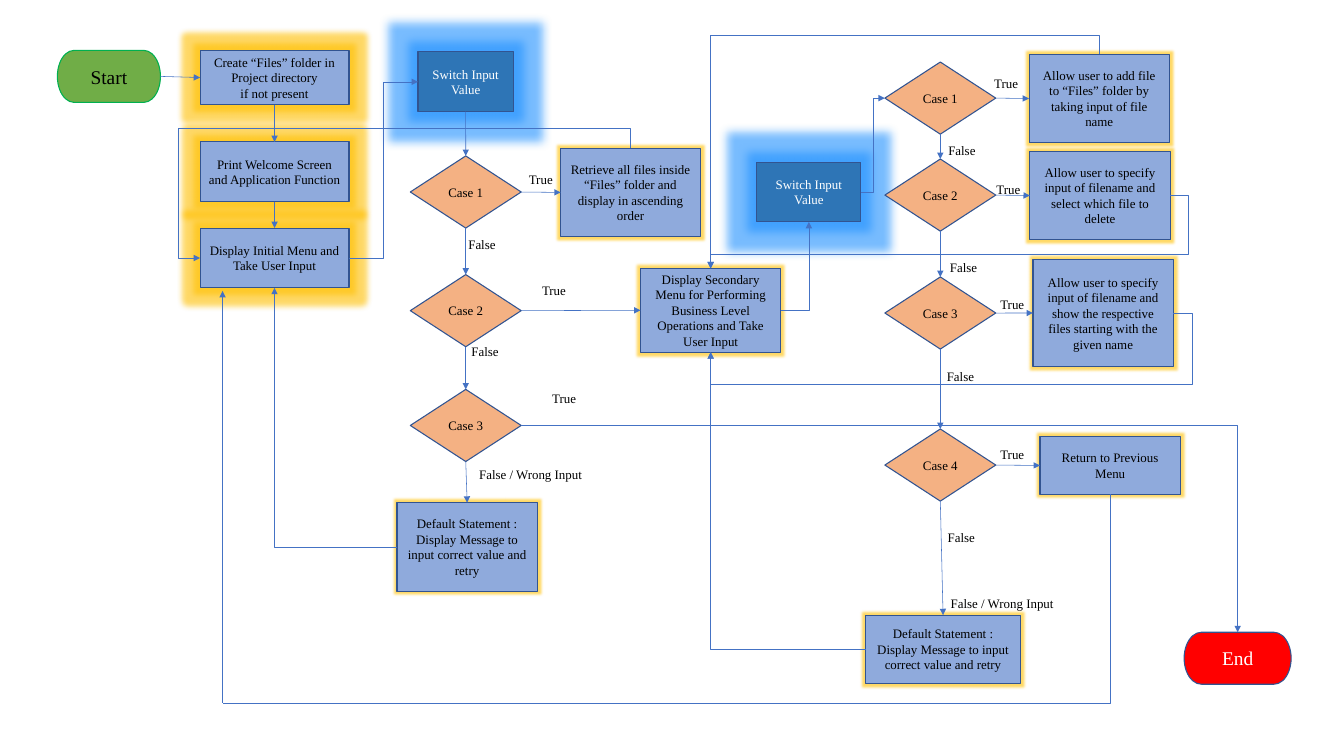
import pptx
import pptx.util
import pptx.dml.color
import pptx.enum.shapes
import pptx.enum.text
import pptx.oxml.ns
import lxml.etree

qn = pptx.oxml.ns.qn
sub = lxml.etree.SubElement
Pt = pptx.util.Pt
RGB = pptx.dml.color.RGBColor.from_string
FORMS = pptx.enum.shapes.MSO_SHAPE
LINKS = pptx.enum.shapes.MSO_CONNECTOR
CENTER = pptx.enum.text.PP_ALIGN.CENTER
MIDDLE = pptx.enum.text.MSO_ANCHOR.MIDDLE

FONT = "Times New Roman"
COLORS = {
    "step": "8FAADC", "switch": "2E75B6", "case": "F4B183",
    "start": "70AD47", "end": "FF0000", "outline": "325491",
    "start_outline": "00B050", "link": "4472C4",
    "dark": "000000", "light": "FFFFFF",
    "gold_glow": "FFC000", "blue_glow": "1E90FF",
}
TOP, LEFT, BOTTOM, RIGHT = range(4)

deck = pptx.Presentation()
deck.slide_width = pptx.util.Inches(17.33)
deck.slide_height = pptx.util.Inches(9.5)
slide = deck.slides.add_slide(deck.slide_layouts[6])
column = deck.slide_width / 100
row = deck.slide_height / 100

KINDS = {
    "setup": (FORMS.RECTANGLE, "step", "outline", "dark", 12, ("gold_glow", 11)),
    "step": (FORMS.FLOWCHART_PROCESS, "step", "outline", "dark", 12, ("gold_glow", 5)),
    "switch": (FORMS.RECTANGLE, "switch", "outline", "light", 12, ("blue_glow", 18)),
    "case": (FORMS.FLOWCHART_DECISION, "case", "outline", "dark", 12, None),
    "start": (FORMS.FLOWCHART_TERMINATOR, "start", "start_outline", "dark", 18, None),
    "end": (FORMS.FLOWCHART_TERMINATOR, "end", "outline", "light", 18, None),
}
SWITCH = "Switch Input\nValue"
DEFAULT = "Default Statement : Display Message to input correct value and retry"
NODES = [
    ("start", "start", 4.27, 6.84, 7.67, 7.05, "Start"),
    ("create", "setup", 14.89, 6.84, 11.08, 7.37,
     "Create “Files” folder in Project directory\nif not present"),
    ("welcome", "setup", 14.89, 19.26, 11.08, 8.11,
     "Print Welcome Screen and Application Function"),
    ("menu", "setup", 14.89, 30.95, 11.08, 8.11,
     "Display Initial Menu and Take User Input"),
    ("main switch", "switch", 31.1, 7.05, 7.1, 8.11, SWITCH),
    ("retrieve", "step", 41.72, 20.11, 10.39, 12,
     "Retrieve all files inside “Files” folder and display in ascending order"),
    ("main default", "step", 29.54, 68.21, 10.44, 12, DEFAULT),
    ("secondary", "step", 47.66, 36.42, 10.44, 11.37,
     "Display Secondary Menu for Performing Business Level Operations and Take User Input"),
    ("file switch", "switch", 56.32, 22, 7.73, 8.11, SWITCH),
    ("add", "step", 76.57, 7.37, 10.44, 12,
     "Allow user to add file to “Files” folder by taking input of file name"),
    ("delete", "step", 76.63, 20.53, 10.44, 12,
     "Allow user to specify input of filename and select which file to delete"),
    ("show", "step", 76.86, 35.26, 10.44, 14.42,
     "Allow user to specify input of filename and show the respective files "
     "starting with the given name"),
    ("return", "step", 77.38, 59.26, 10.44, 7.79, "Return to Previous Menu"),
    ("file default", "step", 64.4, 83.47, 11.54, 9.26, DEFAULT),
    ("end", "end", 88.11, 85.79, 7.96, 7.05, "End"),
]
for menu, x, tops in [("main", 30.53, (21.16, 37.26, 52.84)),
                      ("file", 65.84, (8.42, 21.58, 37.58, 58.21))]:
    for number, y in enumerate(tops, 1):
        NODES.append((f"{menu} {number}", "case", x, y, 8.25, 9.79, f"Case {number}"))

nodes = {}
for name, kind, x, y, w, h, wording in NODES:
    form, fill, outline, ink, size, glow = KINDS[kind]
    node = slide.shapes.add_shape(form, int(x * column), int(y * row),
                                  int(w * column), int(h * row))
    node.fill.solid()
    node.fill.fore_color.rgb = RGB(COLORS[fill])
    node.line.color.rgb = RGB(COLORS[outline])
    node.line.width = Pt(1)
    node.shadow.inherit = False
    if glow:
        effects = node.element.spPr.find(qn("a:effectLst"))
        halo = sub(effects, qn("a:glow"), rad=str(Pt(glow[1])))
        tint = sub(halo, qn("a:srgbClr"), val=COLORS[glow[0]])
        sub(tint, qn("a:alpha"), val="60000")
    node.text_frame.text = wording
    node.text_frame.word_wrap = True
    node.text_frame.vertical_anchor = MIDDLE
    for paragraph in node.text_frame.paragraphs:
        paragraph.alignment = CENTER
        paragraph.font.name = FONT
        paragraph.font.size = Pt(size)
        paragraph.font.color.rgb = RGB(COLORS[ink])
    nodes[name] = node


def site(name, side):
    node = nodes[name]
    across, down = [(0.5, 0), (0, 0.5), (0.5, 1), (1, 0.5)][side]
    return node.left + node.width * across, node.top + node.height * down


def style_link(link, arrow=True):
    link.line.color.rgb = RGB(COLORS["link"])
    link.line.width = Pt(0.5)
    if arrow:
        sub(link.line._get_or_add_ln(), qn("a:tailEnd"), type="triangle")
    sub(link.element.spPr, qn("a:effectLst"))


ACROSS = [("start", "create"), ("main 1", "retrieve"), ("main 2", "secondary"),
          ("file 1", "add"), ("file 2", "delete"), ("file 3", "show"), ("file 4", "return")]
CHAINS = [("create", "welcome", "menu"),
          ("main switch", "main 1", "main 2", "main 3", "main default"),
          ("file 1", "file 2", "file 3", "file 4", "file default")]
straight = [(a, RIGHT, b, LEFT) for a, b in ACROSS]
straight += [(a, BOTTOM, b, TOP) for chain in CHAINS for a, b in zip(chain, chain[1:])]
for origin, leaving, target, entering in straight:
    link = slide.shapes.add_connector(LINKS.STRAIGHT, 0, 0, 0, 0)
    link.begin_connect(nodes[origin], leaving)
    link.end_connect(nodes[target], entering)
    style_link(link)

return_corner = (16.56 * column, 95.37 * row)
ELBOWS = [
    (("menu", RIGHT), site("main switch", LEFT), (0.5,)),
    (("file switch", RIGHT), site("file 1", LEFT), (0.5,)),
    (("main default", LEFT), site("menu", BOTTOM), ()),
    (("main 3", RIGHT), site("end", TOP), ()),
    (("file default", LEFT), site("secondary", BOTTOM), ()),
    (("secondary", RIGHT), site("file switch", BOTTOM), ()),
    (("retrieve", TOP), site("menu", LEFT), (-0.18, 1.05)),
    (("show", RIGHT), site("secondary", BOTTOM), (-0.04, 1.83)),
    (("delete", RIGHT), site("secondary", TOP), (-0.04, 0.8)),
    (("add", TOP), site("secondary", TOP), (-0.09,)),
    (("return", BOTTOM), return_corner, ()),
]
for (origin, leaving), (x2, y2), bends in ELBOWS:
    x1, y1 = site(origin, leaving)
    upright = leaving in (TOP, BOTTOM)
    run, rise = (y2 - y1, x1 - x2) if upright else (x2 - x1, y2 - y1)
    mid_x, mid_y = (x1 + x2) / 2, (y1 + y2) / 2
    link = slide.shapes.add_connector(
        LINKS.ELBOW, int(mid_x - run / 2), int(mid_y - rise / 2),
        int(mid_x + run / 2), int(mid_y + rise / 2))
    if upright:
        link.element.spPr.find(qn("a:xfrm")).set("rot", "5400000")
    geometry = link.element.spPr.find(qn("a:prstGeom"))
    geometry.set("prst", f"bentConnector{len(bends) + 2}")
    guides = geometry.find(qn("a:avLst"))
    for number, share in enumerate(bends, 1):
        sub(guides, qn("a:gd"), name=f"adj{number}", fmla=f"val {round(share * 100000)}")
    style_link(link, arrow=origin != "return")

corner_x, corner_y = map(int, return_corner)
link = slide.shapes.add_connector(LINKS.STRAIGHT, corner_x, corner_y,
                                  corner_x, int(39.47 * row))
style_link(link)

LABELS = {
    "True": (3, [(38.78, 22.74), (39.76, 37.89), (40.51, 52.53), (73.4, 9.79),
                 (73.57, 24.11), (73.86, 39.79), (73.86, 60.11)]),
    "False": (3.35, [(34.28, 31.58), (34.51, 46.11), (69.99, 18.84), (70.11, 34.74),
                     (69.88, 49.47), (69.94, 71.37)]),
    "False / Wrong Input": (8.94, [(35.08, 62.74), (70.17, 80.32)]),
}
for wording, (w, places) in LABELS.items():
    for x, y in places:
        answer = slide.shapes.add_textbox(int(x * column), int(y * row),
                                          int(w * column), int(3.16 * row))
        answer.text_frame.word_wrap = False
        answer.text_frame.text = wording
        font = answer.text_frame.paragraphs[0].runs[0].font
        font.name = FONT
        font.size = Pt(12)
        font.color.rgb = RGB(COLORS["dark"])

deck.save("out.pptx")
